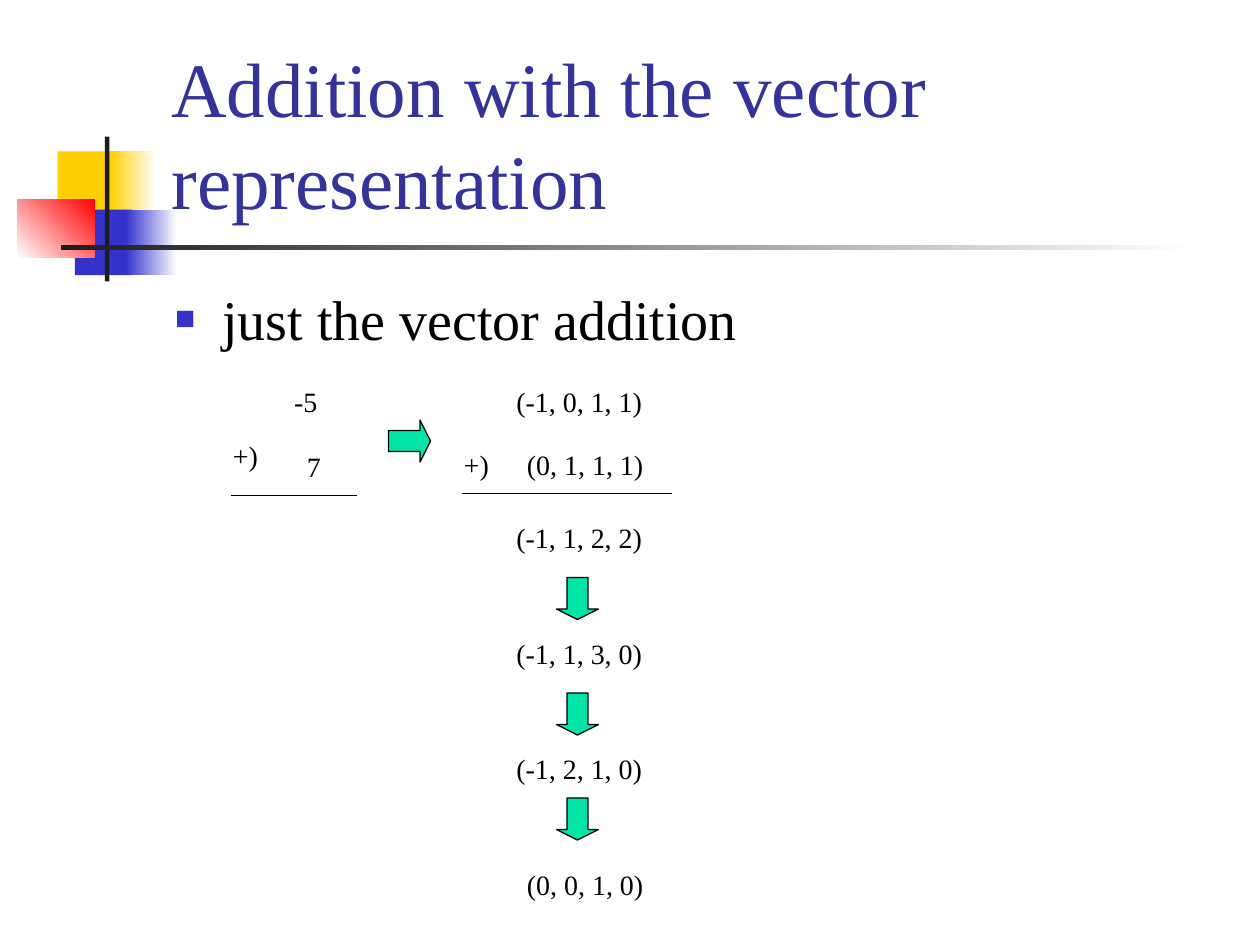
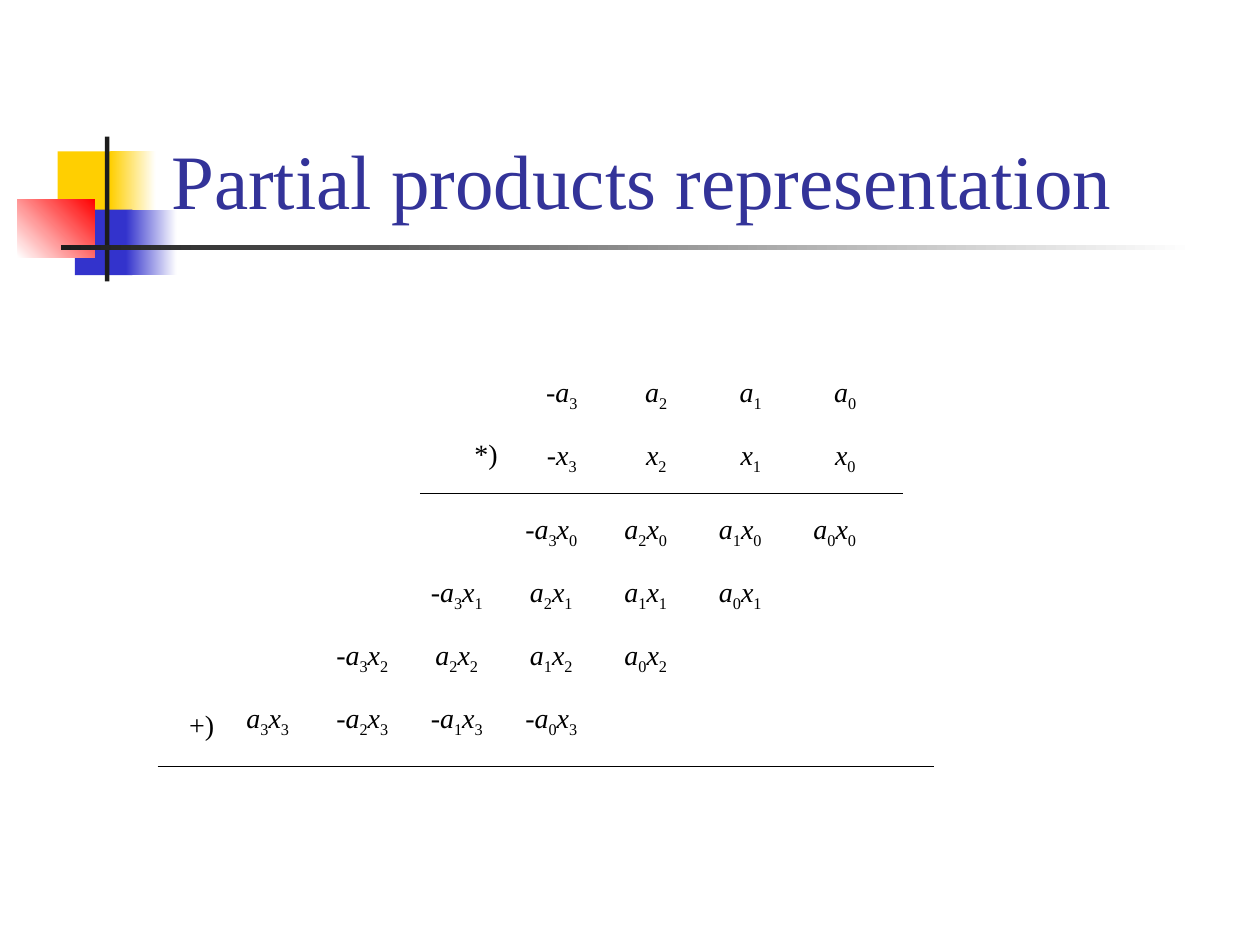
from lxml.etree import SubElement
from pptx import Presentation
from pptx.dml.color import RGBColor
from pptx.enum.shapes import MSO_CONNECTOR as Connector, MSO_SHAPE as Shape
from pptx.enum.text import MSO_ANCHOR as Anchor, MSO_AUTO_SIZE as AutoSize, PP_ALIGN as Align
from pptx.oxml.ns import qn
from pptx.util import Pt

FONT = "Times New Roman"
BLACK, WHITE, INK = "000000", "FFFFFF", "1C1C1C"
YELLOW, BLUE, RED = "FFCF01", "3333CC", "FF0000"
TITLE_COLOR, ARROW_COLOR = "333399", "00E4A8"
TITLE_BOX = (90.75, 16.5, 613.5, 115.75)
LABEL_HEIGHT = 26.5
CELL_WIDTH, CELL_HEIGHT, ROW_PITCH = 54, 30, 36
DIGITS = 4

DECORATION = [
    ((33, 86.5, 34.5, 37.5), (YELLOW,), 0),
    ((63, 86.5, 26, 37.5), (YELLOW, WHITE), 0),
    ((42.75, 119.75, 33, 37.5), (BLUE,), 0),
    ((72, 119.75, 29, 37.5), (BLUE, WHITE), 0),
    ((10, 113.75, 44.25, 33.5), (WHITE, RED), 45),
    ((60, 78, 2.5, 82.75), (INK,), 0),
    ((35, 140.25, 648, 2.5), (INK, WHITE), 0),
]


def color(code):
    """Turn a hex string into a colour."""
    return RGBColor.from_string(code)


def points(values):
    """Turn plain numbers into point lengths."""
    return [Pt(value) for value in values]


def style_font(para, size, code=BLACK):
    """Set the shared typeface, a size and a colour on a paragraph."""
    para.font.name = FONT
    para.font.size = Pt(size)
    para.font.color.rgb = color(code)


def add_filled(page, kind, box, colors, angle=0):
    """Add a shape with a solid fill for one colour or a gradient for two."""
    shape = page.shapes.add_shape(kind, *points(box))
    shape.shadow.inherit = False
    shape.line.fill.background()
    if len(colors) == 1:
        shape.fill.solid()
        shape.fill.fore_color.rgb = color(colors[0])
    else:
        shape.fill.gradient()
        shape.fill.gradient_angle = angle
        for stop, code in zip(shape.fill.gradient_stops, colors):
            stop.color.rgb = color(code)
    return shape


def add_arrow(page, kind, left, top):
    """Add a green block arrow."""
    arrow = add_filled(page, kind, (left, top, 24, 24), (ARROW_COLOR,))
    arrow.adjustments[0], arrow.adjustments[1] = 0.5, 0.25
    arrow.line.color.rgb = color(BLACK)
    arrow.line.width = Pt(0.75)


def add_rule(page, left, top, width):
    """Add a thin horizontal line."""
    rule = page.shapes.add_connector(
        Connector.STRAIGHT, *points((left, top, left + width, top)))
    rule.line.color.rgb = color(BLACK)
    rule.line.width = Pt(0.75)
    SubElement(rule.element.spPr, qn("a:effectLst"))


def add_label(page, text, left, top, width):
    """Add a one-line text whose box grows with it."""
    label = page.shapes.add_textbox(*points((left, top, width, LABEL_HEIGHT)))
    frame = label.text_frame
    frame.word_wrap = False
    frame.auto_size = AutoSize.SHAPE_TO_FIT_TEXT
    para = frame.paragraphs[0]
    para.text = text
    style_font(para, 16)


def add_term(page, factors, left, top):
    """Add a centred product of italic letters with subscripts."""
    cell = page.shapes.add_textbox(*points((left, top, CELL_WIDTH, CELL_HEIGHT)))
    frame = cell.text_frame
    frame.word_wrap = False
    frame.vertical_anchor = Anchor.MIDDLE
    para = frame.paragraphs[0]
    para.alignment = Align.CENTER
    for letter, index in factors:
        span = para.add_run()
        span.text = letter
        span.font.italic = True
        subscript = para.add_run()
        subscript.text = str(index)
        subscript._r.get_or_add_rPr().set("baseline", "-25000")
    style_font(para, 16)


def add_page(deck, title_text):
    """Add a slide with the decoration and its title on top."""
    page = deck.slides.add_slide(deck.slide_layouts[5])
    for box, colors, angle in DECORATION:
        add_filled(page, Shape.RECTANGLE, box, colors, angle)
    title = page.shapes.title
    title.element.getparent().append(title.element)
    title.left, title.top, title.width, title.height = points(TITLE_BOX)
    frame = title.text_frame
    frame.word_wrap = True
    frame.auto_size = AutoSize.NONE
    frame.vertical_anchor = Anchor.BOTTOM
    para = frame.paragraphs[0]
    para.text = title_text
    para.alignment = Align.LEFT
    style_font(para, 44, TITLE_COLOR)
    return page


def add_bullet(page, text, box):
    """Add a bulleted line of body text."""
    body = page.shapes.add_textbox(*points(box))
    body.text_frame.word_wrap = True
    para = body.text_frame.paragraphs[0]
    para.text = text
    props = para._p.get_or_add_pPr()
    props.set("marL", str(Pt(27)))
    props.set("indent", str(-Pt(27)))
    SubElement(SubElement(props, qn("a:buClr")), qn("a:srgbClr")).set("val", BLUE)
    SubElement(props, qn("a:buSzPct")).set("val", "60000")
    SubElement(props, qn("a:buFont")).set("typeface", FONT)
    SubElement(props, qn("a:buChar")).set("char", "■")
    style_font(para, 32)


def add_sum(page, left, top, numbers, sign_top, rule_top, rule_width):
    """Place two numbers, a plus sign and a line below them."""
    for text, across, down, width in numbers:
        add_label(page, text, left + across, top + down, width)
    add_label(page, "+)", left, top + sign_top, 29)
    add_rule(page, left + 6, top + rule_top, rule_width)


def add_carry_steps(page, left, top):
    """Place the sum vector and its carry steps, joined by arrows."""
    steps = [("(-1, 1, 2, 2)", 0, 86), ("(-1, 1, 3, 0)", 0, 86),
             ("(-1, 2, 1, 0)", 0, 86), ("(0, 0, 1, 0)", 6, 82)]
    for row, (text, across, width) in enumerate(steps):
        add_label(page, text, left + across, top + 66 * row, width)
    for down in (36, 102, 162):
        add_arrow(page, Shape.DOWN_ARROW, left + 30, top + down)


def add_operands(page, right, top):
    """Place the two factors digit by digit, with the line below."""
    for row, letter in enumerate("ax"):
        for digit in range(DIGITS):
            sign = "-" if digit == DIGITS - 1 else ""
            add_term(page, [(sign + letter, digit)],
                     right - CELL_WIDTH * (digit + 1), top + ROW_PITCH * row)
    add_label(page, "*)", right - 246, top + 36, 27.5)
    add_rule(page, right - 270, top + 72, 276)


def add_partial_products(page, right, top):
    """Place the staggered rows of products, with the line below."""
    last = DIGITS - 1
    for row in range(DIGITS):
        for digit in range(DIGITS):
            sign = "-" if (digit == last) != (row == last) else ""
            add_term(page, [(sign + "a", digit), ("x", row)],
                     right - CELL_WIDTH * (digit + row + 1), top + ROW_PITCH * row)
    add_label(page, "+)", right - 403, top + 113, 29)
    add_rule(page, right - 414, top + 150, 444)


def build_addition(deck):
    """Build the slide on vector addition."""
    page = add_page(deck, "Addition with the vector representation")
    add_bullet(page, "just the vector addition", (93, 159, 612, 69))
    add_sum(page, 126, 216, [("-5", 35, 0, 27.5), ("7", 42.25, 37.25, 22.5)],
            31, 67, 72)
    add_arrow(page, Shape.RIGHT_ARROW, 222, 240)
    add_sum(page, 258, 216,
            [("(-1, 0, 1, 1)", 30, 0, 86), ("(0, 1, 1, 1)", 36, 36, 82)],
            36, 66, 120)
    add_carry_steps(page, 288, 294)


def build_products(deck):
    """Build the slide on partial products."""
    page = add_page(deck, "Partial products representation")
    add_operands(page, 510, 210)
    add_partial_products(page, 504, 288)


def main():
    """Build and save the deck."""
    deck = Presentation()
    deck.slide_width, deck.slide_height = points((720, 540))
    build_addition(deck)
    build_products(deck)
    deck.save("out.pptx")


if __name__ == "__main__":
    main()
